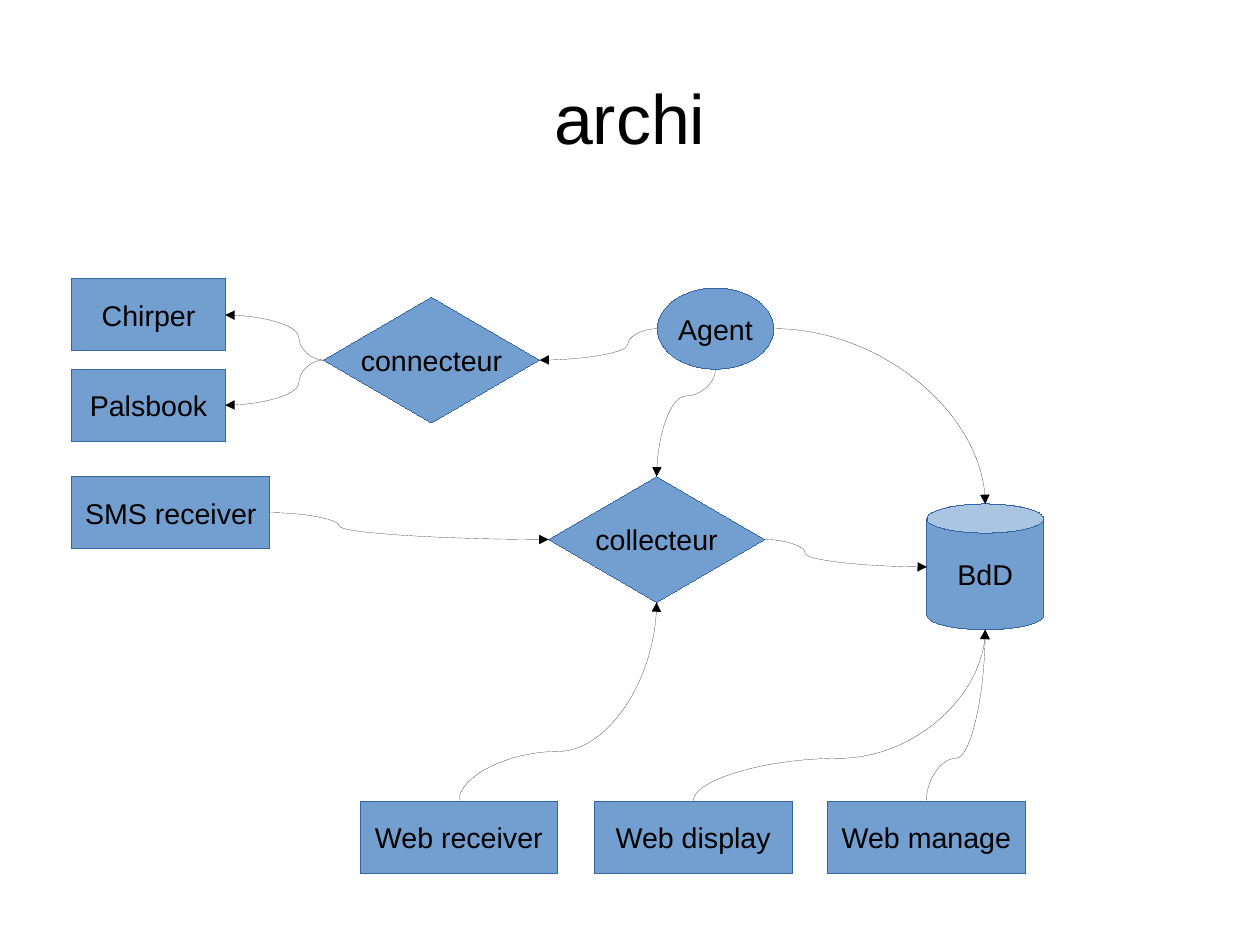
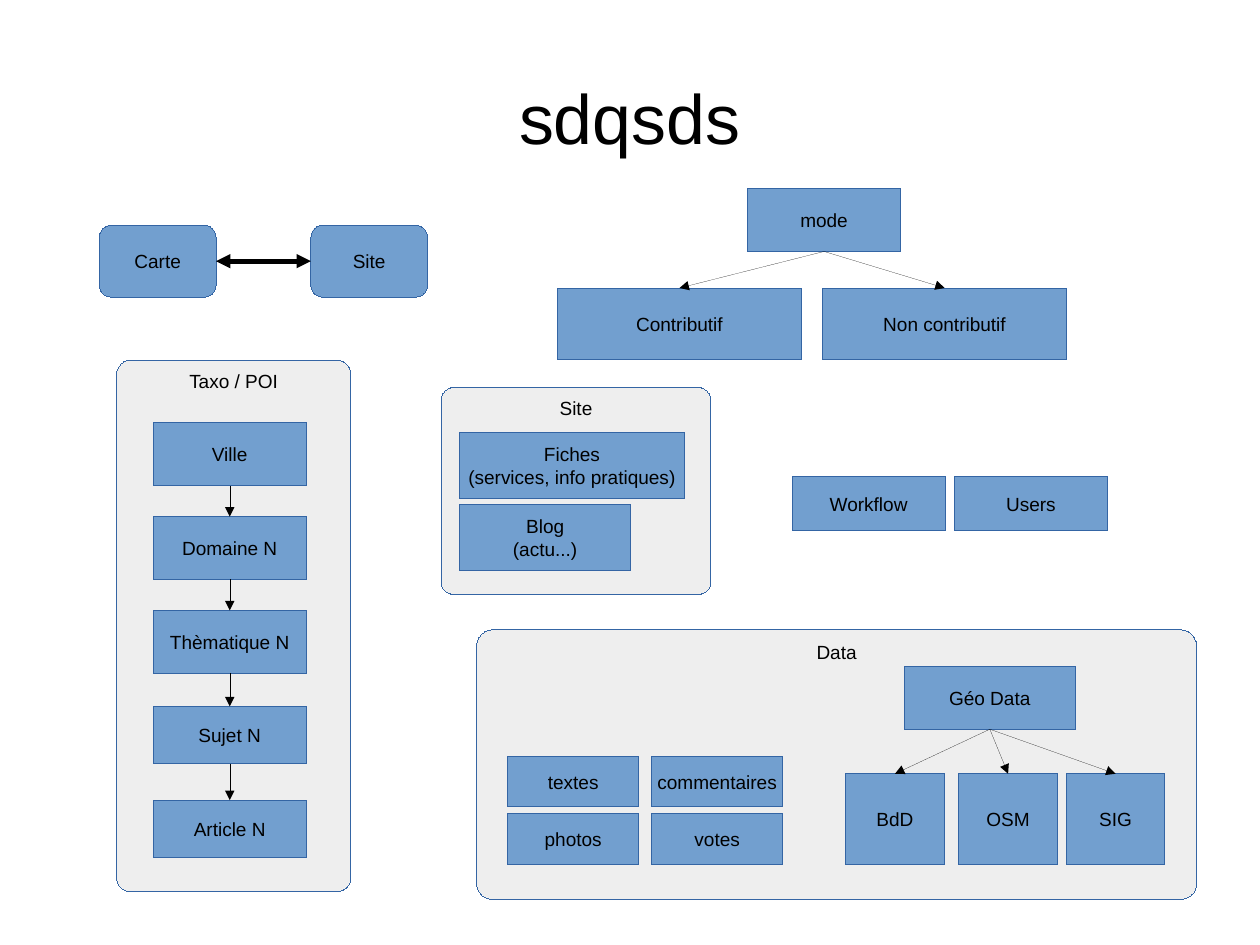
import functools

import pptx
import pptx.dml.color
import pptx.enum.shapes
import pptx.enum.text
import pptx.oxml.ns
import pptx.util
from lxml import etree

Inches, Pt = pptx.util.Inches, pptx.util.Pt
qn = pptx.oxml.ns.qn
SHAPE = pptx.enum.shapes.MSO_SHAPE
LINE = pptx.enum.shapes.MSO_CONNECTOR
ANCHOR = pptx.enum.text.MSO_ANCHOR
CENTER = pptx.enum.text.PP_ALIGN.CENTER

FONT = "Arial"
BLACK, BLUE, EDGE, GRAY = "000000", "729FCF", "3465A4", "EEEEEE"
TOP, LEFT, BOTTOM, RIGHT = range(4)  # connection sites of a rectangle


def rgb(color):
    return pptx.dml.color.RGBColor.from_string(color)


def write(sp, text, size=12, color=BLACK, anchor=ANCHOR.MIDDLE, wrap=False):
    """Fill a shape with centred text, one paragraph per line."""
    tf = sp.text_frame
    tf.word_wrap = wrap
    tf.vertical_anchor = anchor
    for i, line in enumerate(text.split("\n")):
        p = tf.paragraphs[0] if i == 0 else tf.add_paragraph()
        p.alignment = CENTER
        r = p.add_run()
        r.text = line
        r.font.name, r.font.size = FONT, Pt(size)
        r.font.color.rgb = rgb(color)


def stroke(sp, color, width=0):
    """Colour a line; a width of 0, the hairline, must be stated in the XML."""
    sp.line.color.rgb = rgb(color)
    ln = sp.line._get_or_add_ln()
    ln.set("w", str(int(Pt(width))))
    return ln


def add_slide(prs, title):
    slide = prs.slides.add_slide(prs.slide_layouts[6])
    sp = slide.shapes.add_textbox(Inches(0.55), Inches(0.33), Inches(9.92), Inches(1.38))
    tf = sp.text_frame
    tf.margin_left = tf.margin_right = tf.margin_top = tf.margin_bottom = 0
    write(sp, title, size=44, wrap=True)
    return slide


def box(slide, text, x, y, w, h, kind=SHAPE.RECTANGLE, fill=BLUE, **fmt):
    sp = slide.shapes.add_shape(kind, Inches(x), Inches(y), Inches(w), Inches(h))
    sp.shadow.inherit = False
    sp.fill.solid()
    sp.fill.fore_color.rgb = rgb(fill)
    stroke(sp, EDGE)
    write(sp, text, **fmt)
    return sp


def group_panel(slide, text, x, y, w, h):
    sp = box(slide, text, x, y, w, h, SHAPE.ROUNDED_RECTANGLE, GRAY, anchor=ANCHOR.TOP)
    sp.adjustments[0] = 0.06


def style_line(cxn, width=0, ends=("tailEnd",)):
    ln = stroke(cxn, BLACK, width)
    for end in ends:
        etree.SubElement(ln, qn("a:" + end), type="triangle")
    etree.SubElement(cxn._element.spPr, qn("a:effectLst"))


def arrow(slide, a, a_site, b, b_site, **fmt):
    """Straight arrow glued to two rectangles."""
    cxn = slide.shapes.add_connector(LINE.STRAIGHT, 0, 0, 0, 0)
    cxn.begin_connect(a, a_site)
    cxn.end_connect(b, b_site)
    style_line(cxn, **fmt)


def side(sp, site):
    """Middle of one side of a shape."""
    cx, cy = sp.left + sp.width // 2, sp.top + sp.height // 2
    return {TOP: (cx, sp.top), LEFT: (sp.left, cy),
            BOTTOM: (cx, sp.top + sp.height), RIGHT: (sp.left + sp.width, cy)}[site]


def curve(slide, a, a_site, b, b_site, bend=25000):
    """Curved arrow; without a bend it is a single quarter arc."""
    (x1, y1), (x2, y2) = side(a, a_site), side(b, b_site)
    dx, dy = x2 - x1, y2 - y1
    w, h = abs(dx), abs(dy)
    if a_site in (TOP, BOTTOM):  # leaves vertically: a quarter turn
        w, h = h, w
        turn, flip_h, flip_v = 90, dy < 0, dx > 0
    else:
        turn, flip_h = (180 if dx < 0 else 0), False
        flip_v = (dy > 0) == (dx < 0)
    x, y = (x1 + x2 - w) // 2, (y1 + y2 - h) // 2
    xs, ys = (x, x + w), (y, y + h)
    (bx, ex), (by, ey) = xs[::-1 if flip_h else 1], ys[::-1 if flip_v else 1]
    cxn = slide.shapes.add_connector(LINE.CURVE, bx, by, ex, ey)
    sp_pr = cxn._element.spPr
    if turn:
        sp_pr.find(qn("a:xfrm")).set("rot", str(turn * 60000))
    geom = sp_pr.find(qn("a:prstGeom"))
    if bend is None:
        geom.set("prst", "curvedConnector2")
    else:
        etree.SubElement(geom.find(qn("a:avLst")), qn("a:gd"), name="adj1", fmla=f"val {bend}")
    style_line(cxn)


def architecture(prs):
    slide = add_slide(prs, "archi")
    node = functools.partial(box, slide, size=18)
    link = functools.partial(curve, slide)

    # Sources and processes
    networks = [node(name, 0.63, 2.44 + 0.79 * i, 1.34, 0.63)
                for i, name in enumerate(("Chirper", "Palsbook"))]
    agent = node("Agent", 5.75, 2.52, 1.02, 0.71, SHAPE.OVAL)
    connector = node("connecteur", 2.83, 2.6, 1.89, 1.1, SHAPE.DIAMOND)
    sms = node("SMS receiver", 0.63, 4.17, 1.73, 0.63)
    collector = node("collecteur", 4.8, 4.17, 1.89, 1.1, SHAPE.DIAMOND)
    database = node("BdD", 8.11, 4.41, 1.02, 1.1, SHAPE.CAN)
    receiver, display, manage = [
        node("Web " + name, x, 7.01, 1.73, 0.63)
        for name, x in (("receiver", 3.15), ("display", 5.2), ("manage", 7.24))]

    # Flows
    link(agent, LEFT, connector, RIGHT)
    for network in networks:
        link(connector, LEFT, network, RIGHT)
    link(agent, BOTTOM, collector, TOP)
    link(sms, RIGHT, collector, LEFT)
    link(receiver, TOP, collector, BOTTOM)
    link(collector, RIGHT, database, LEFT)
    for page in (display, manage):
        link(page, TOP, database, BOTTOM)
    link(agent, RIGHT, database, TOP, bend=None)


def content_model(prs):
    slide = add_slide(prs, "sdqsds")
    node = functools.partial(box, slide)
    link = functools.partial(arrow, slide)

    # Group panels
    group_panel(slide, "Site", 3.86, 3.39, 2.36, 1.81)
    group_panel(slide, "Data", 4.17, 5.51, 6.3, 2.36)
    group_panel(slide, "Taxo / POI", 1.02, 3.15, 2.05, 4.65)

    # Map and site
    card, site = [node(name, x, 1.97, 1.02, 0.63, SHAPE.ROUNDED_RECTANGLE)
                  for name, x in (("Carte", 0.87), ("Site", 2.72))]
    link(site, LEFT, card, RIGHT, width=3, ends=("headEnd", "tailEnd"))

    # Taxonomy chain
    levels = (("Ville", 3.7, 0.55), ("Domaine N", 4.52, 0.55),
              ("Thèmatique N", 5.34, 0.55), ("Sujet N", 6.18, 0.5),
              ("Article N", 7, 0.5))
    chain = [node(name, 1.34, y, 1.34, h) for name, y, h in levels]
    for upper, lower in zip(chain, chain[1:]):
        link(upper, BOTTOM, lower, TOP)

    # Modes
    mode = node("mode", 6.54, 1.65, 1.34, 0.55)
    for name, x in (("Contributif", 4.88), ("Non contributif", 7.2)):
        link(mode, BOTTOM, node(name, x, 2.52, 2.13, 0.63), TOP)

    # Site content
    node("Fiches\n(services, info pratiques)", 4.02, 3.78, 1.97, 0.58)
    node("Blog\n(actu...)", 4.02, 4.41, 1.5, 0.58)

    # Tools
    for name, x in (("Workflow", 6.93), ("Users", 8.35)):
        node(name, x, 4.17, 1.34, 0.47)

    # Contributed data
    for i, row in enumerate((("textes", "commentaires"), ("photos", "votes"))):
        for j, name in enumerate(row):
            node(name, 4.44 + 1.26 * j, 6.62 + 0.5 * i, 1.15, 0.44)

    # Geographic data
    geo = node("Géo Data", 7.91, 5.83, 1.5, 0.55)
    for name, x in (("BdD", 7.4), ("OSM", 8.39), ("SIG", 9.33)):
        link(geo, BOTTOM, node(name, x, 6.77, 0.86, 0.79), TOP)


def main():
    prs = pptx.Presentation()
    # 28 by 21 cm
    prs.slide_width = Inches(28 / 2.54)
    prs.slide_height = Inches(21 / 2.54)
    architecture(prs)
    content_model(prs)
    prs.save("out.pptx")


if __name__ == "__main__":
    main()
